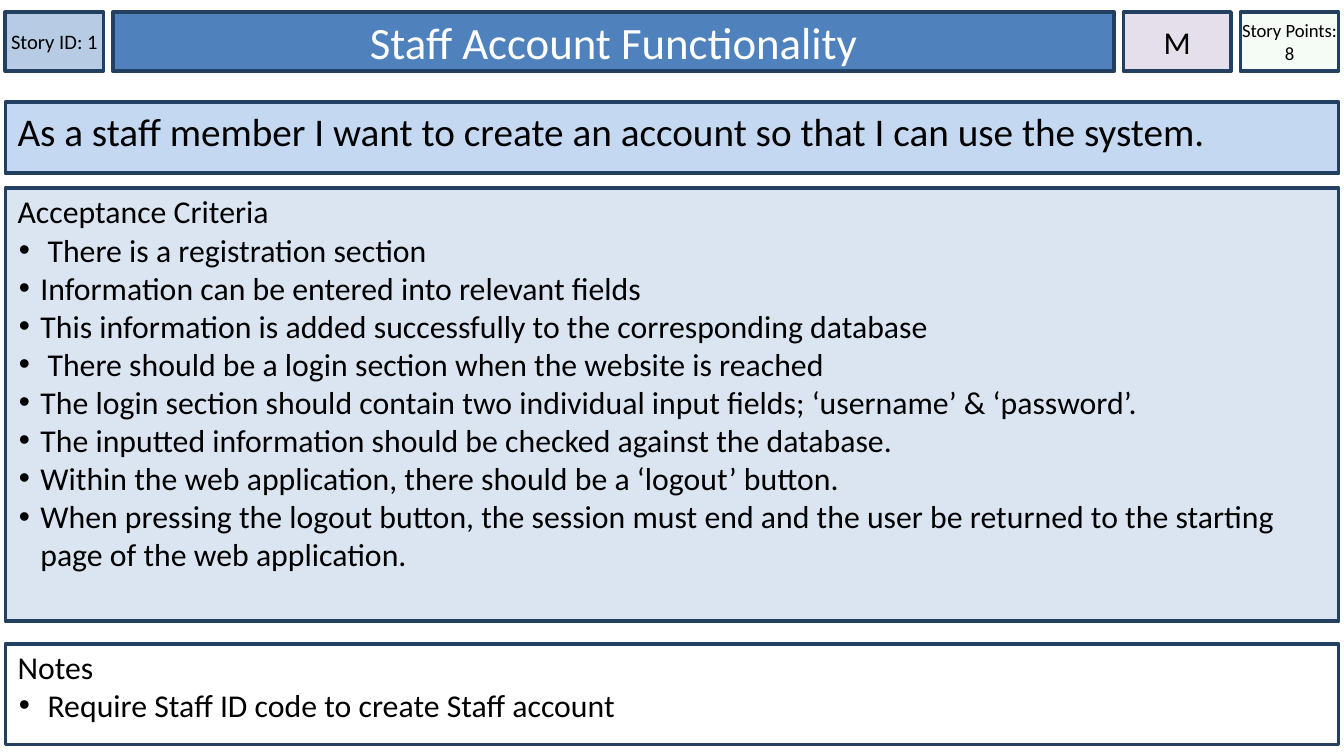
import pptx
import pptx.util
import pptx.dml.color
import pptx.enum.shapes
import pptx.enum.text
import pptx.oxml.ns
from lxml import etree

Inches = pptx.util.Inches
Align = pptx.enum.text.PP_ALIGN
Anchor = pptx.enum.text.MSO_ANCHOR
qn = pptx.oxml.ns.qn

# Content: header cells as (text, width, fill, size, side inset, text color, opacity)
HEADER = [
    ("Story ID: 1", 0.73, "id", "id", 0, "dark", 100),
    ("Staff Account Functionality", 7.45, "title", "title", 0.09, "light", 100),
    ("M", 0.8, "priority", "body", 0, "dark", 100),
    ("Story Points: 8", 0.73, "points", "points", 0, "dark", 20),
]
STORY = "As a staff member I want to create an account so that I can use the system. "
CRITERIA = [
    " There is a registration section",
    "Information can be entered into relevant fields",
    "This information is added successfully to the corresponding database",
    " There should be a login section when the website is reached",
    "The login section should contain two individual input fields; ‘username’ & ‘password’.",
    "The inputted information should be checked against the database.",
    "Within the web application, there should be a ‘logout’ button.",
    "When pressing the logout button, the session must end and the user be returned "
    "to the starting page of the web application.",
]
NOTES = [" Require Staff ID code to create Staff account "]

# Panels as (heading, bullets, top, height, fill, size, top inset)
PANELS = [
    (STORY, [], 0.76, 0.53, "story", "story", 0.04),
    ("Acceptance Criteria", CRITERIA, 1.4, 3.22, "criteria", "body", 0.03),
    ("Notes", NOTES, 4.79, 0.75, "light", "body", 0.03),
]

THEME = {
    "font": "Calibri",
    "color": {
        "dark": "000000", "light": "FFFFFF", "border": "244061",
        "id": "B7CCE4", "title": "4F81BD", "priority": "E5DFEC",
        "points": "CCF0CD", "story": "C5D8F1", "criteria": "DAE5F1",
    },
    "size": {"title": 24, "story": 21, "body": 17, "id": 11, "points": 10},
}
SLIDE_WIDTH = 10
SLIDE_HEIGHT = SLIDE_WIDTH * 9 / 16
LEFT, PANEL_WIDTH = 0.04, 9.92
HEADER_TOP, HEADER_HEIGHT, HEADER_GAP = 0.09, 0.44, 0.07


def rgb(name):
    return pptx.dml.color.RGBColor.from_string(THEME["color"][name])


def add_bullet(paragraph):
    props = paragraph._p.get_or_add_pPr()
    props.set("marL", str(Inches(0.17)))
    props.set("indent", str(Inches(-0.16)))
    color = etree.SubElement(props, qn("a:buClr"))
    etree.SubElement(color, qn("a:srgbClr"), val=THEME["color"]["dark"])
    etree.SubElement(props, qn("a:buFont"), typeface="Arial")
    etree.SubElement(props, qn("a:buChar"), char="•")


def write(paragraph, text, *, size, color="dark", align=Align.LEFT, bullet=False):
    paragraph.alignment = align
    if bullet:
        add_bullet(paragraph)
    run = paragraph.add_run()
    run.text = text
    run.font.name = THEME["font"]
    run.font.size = pptx.util.Pt(THEME["size"][size])
    run.font.color.rgb = rgb(color)


def add_box(left, top, width, height, *, fill, side, inset_top=0.04,
            anchor=Anchor.TOP, opacity=100):
    box = slide.shapes.add_shape(
        pptx.enum.shapes.MSO_SHAPE.RECTANGLE,
        Inches(left), Inches(top), Inches(width), Inches(height))
    box.shadow.inherit = False
    box.fill.solid()
    box.fill.fore_color.rgb = rgb(fill)
    if opacity < 100:
        color = box._element.spPr.find(qn("a:solidFill")).find(qn("a:srgbClr"))
        etree.SubElement(color, qn("a:alpha"), val=str(opacity * 1000))
    box.line.color.rgb = rgb("border")
    box.line.width = pptx.util.Pt(2)
    frame = box.text_frame
    frame.word_wrap = True
    frame.vertical_anchor = anchor
    frame.margin_left = frame.margin_right = Inches(side)
    frame.margin_top, frame.margin_bottom = Inches(inset_top), Inches(0.04)
    return frame


deck = pptx.Presentation()
deck.slide_width, deck.slide_height = Inches(SLIDE_WIDTH), Inches(SLIDE_HEIGHT)
slide = deck.slides.add_slide(deck.slide_layouts[6])

# Header row
left = LEFT
for text, width, fill, size, side, color, opacity in HEADER:
    cell = add_box(left, HEADER_TOP, width, HEADER_HEIGHT, fill=fill, side=side,
                   anchor=Anchor.MIDDLE, opacity=opacity)
    write(cell.paragraphs[0], text, size=size, align=Align.CENTER, color=color)
    left += width + HEADER_GAP

# Story, acceptance criteria and notes
for heading, bullets, top, height, fill, size, inset_top in PANELS:
    panel = add_box(LEFT, top, PANEL_WIDTH, height, fill=fill, side=0.09,
                    inset_top=inset_top)
    write(panel.paragraphs[0], heading, size=size)
    for item in bullets:
        write(panel.add_paragraph(), item, size=size, bullet=True)

deck.save("out.pptx")
